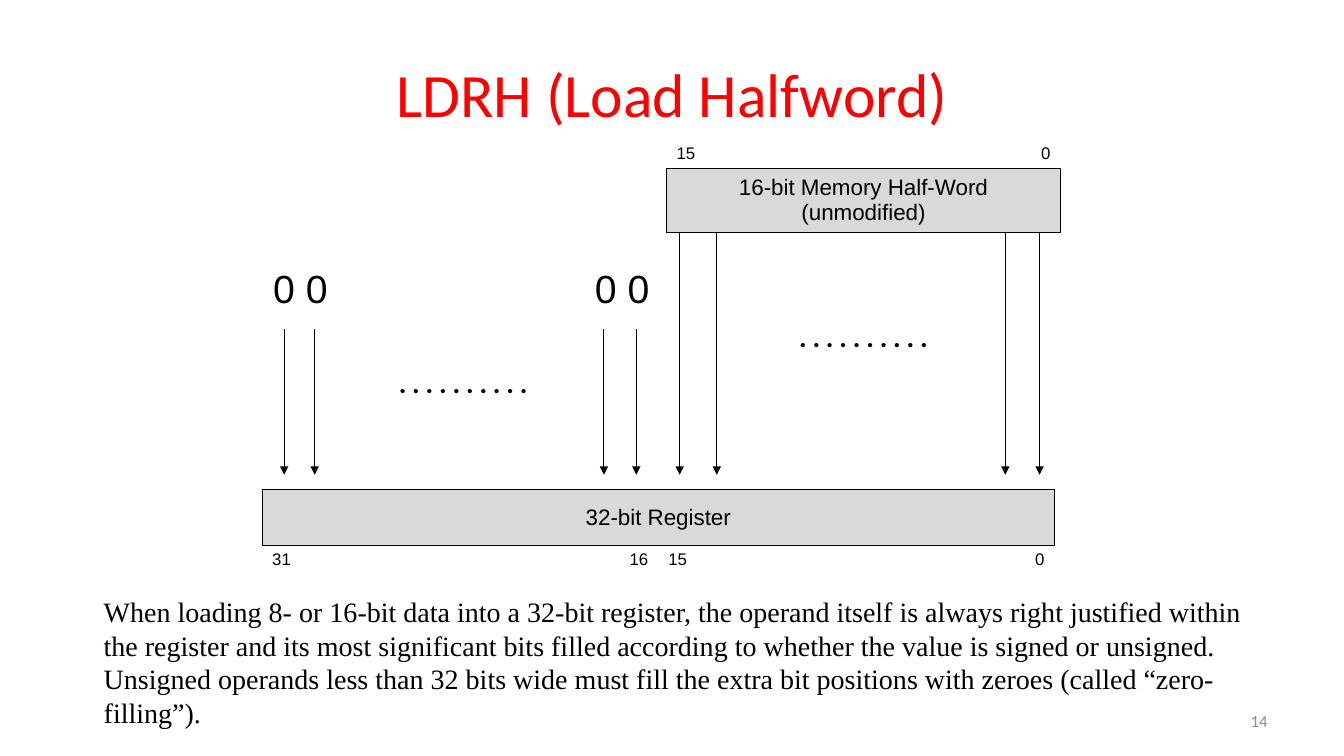
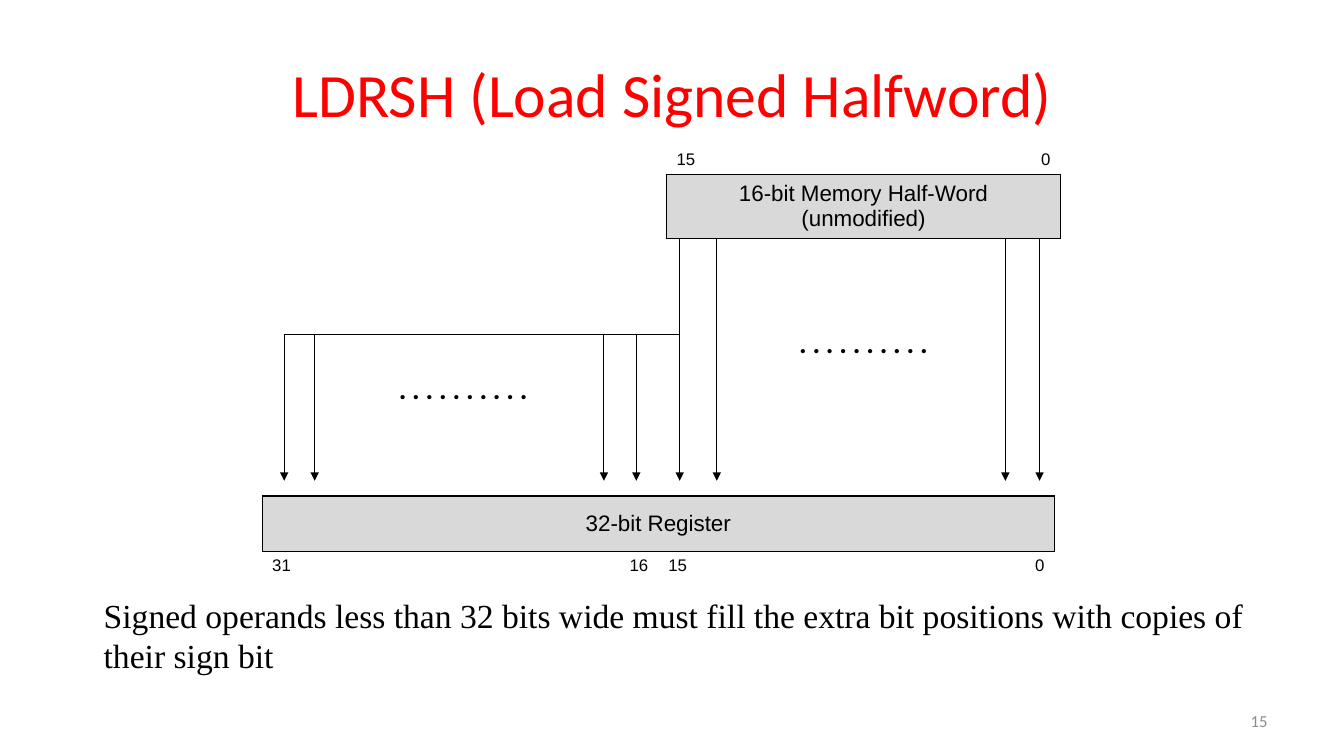
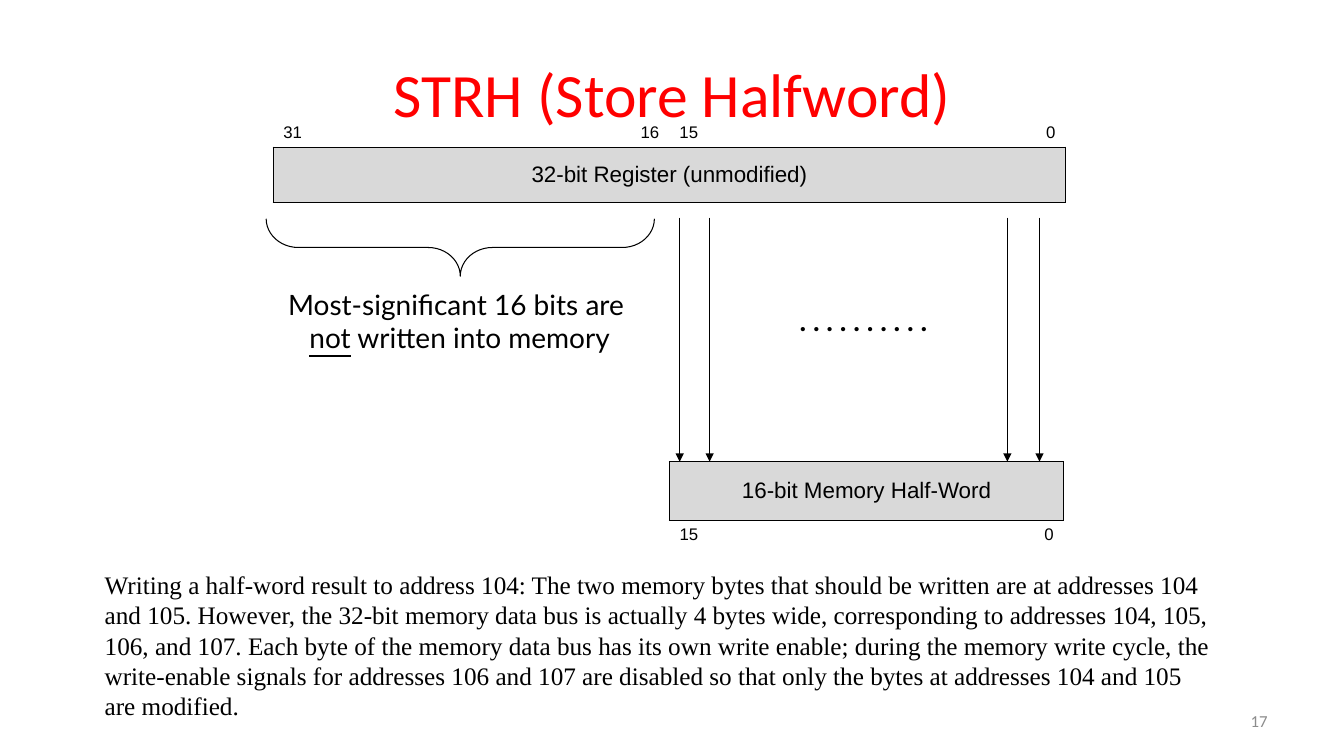
from pptx import Presentation
from pptx import util as u
from pptx.dml import color
from pptx.enum import shapes, text
from pptx.oxml import parse_xml
from pptx.oxml import ns

WIDE, HIGH = 13.33, 7.5
BLACK, RED, GREY, PALE = "000000", "FF0000", "8C8C8C", "D9D9D9"
LEFT, BIT = 2.61, 7.86 / 32  # left edge of the diagrams, width of one bit
HALF = 16 * BIT
FILL = (0.85, 2.08, 13.76, 15.07)  # arrows into the upper half, in bits
DATA = (16.82, 18.32, 29.97, 31.35)  # arrows into the lower half, in bits
WORD = ("31", "", "", "16", "15", "", "", "0")
SHORT = ("15", "0")
DOTS = ". . . . . . . . . ."
PLAIN = "{2D5ABB26-0587-4C30-8999-92F81FD0307C}"  # table style without grid
ALIGN, ANCHOR = text.PP_ALIGN, text.MSO_ANCHOR

LABEL = {"name": "Arial", "size": 12, "color": BLACK}
BAND = LABEL | {"size": 16}
ZERO = LABEL | {"size": 28}
NOTE = {"name": "Lato", "size": 20, "color": BLACK}
BODY = {"name": "Times New Roman", "color": BLACK}
TITLE = {"name": "Calibri", "size": 44, "color": RED}
FOOT = {"name": "Calibri", "size": 12, "color": GREY}


def rgb(code):
    return color.RGBColor.from_string(code)


def inches(*nums):
    return [u.Inches(n) for n in nums]


def style(font, look):
    for key, val in look.items():
        if key == "color":
            font.color.rgb = rgb(val)
        else:
            setattr(font, key, u.Pt(val) if key == "size" else val)


def write(frame, words, look, align=ALIGN.LEFT):
    para = frame.paragraphs[0]
    para.alignment = align
    run = para.add_run()
    run.text = words
    style(run.font, look)
    return para


def label(slide, box, words, look, align=ALIGN.LEFT, anchor=ANCHOR.TOP):
    frame = slide.shapes.add_textbox(*inches(*box)).text_frame
    frame.word_wrap = True
    frame.vertical_anchor = anchor
    return write(frame, words, look, align)


def line(slide, x1, y1, x2, y2, head=True):
    link = slide.shapes.add_connector(
        shapes.MSO_CONNECTOR.STRAIGHT, *inches(x1, y1, x2, y2))
    link.line.color.rgb = rgb(BLACK)
    link.line.width = u.Pt(0.75)
    if head:
        link.line._get_or_add_ln().append(parse_xml(
            f'<a:tailEnd {ns.nsdecls("a")} type="triangle"/>'))
    link._element.spPr.append(parse_xml(f'<a:effectLst {ns.nsdecls("a")}/>'))


def arrows(slide, bits, top, end):
    for bit in bits:
        line(slide, LEFT + bit * BIT, top, LEFT + bit * BIT, end)


def border(cell):
    for side in "LRTB":
        cell._tc.get_or_add_tcPr().append(parse_xml(
            f'<a:ln{side} {ns.nsdecls("a")} w="12700"><a:solidFill>'
            f'<a:srgbClr val="{BLACK}"/></a:solidFill></a:ln{side}>'))


def grid(slide, box, cols, rows):
    """Unstyled table; rows lists the row heights."""
    table = slide.shapes.add_table(
        len(rows), cols, *inches(*box, sum(rows))).table
    table._tbl.tblPr.find(ns.qn("a:tableStyleId")).text = PLAIN
    table.first_row = table.horz_banding = False
    for row, high in zip(table.rows, rows):
        row.height = u.Inches(high)
    return table


def ends(table, row, marks, look, anchor):
    """Fill a row: even cells read from the left, odd ones from the right."""
    for i, mark in enumerate(marks):
        if mark:
            cell = table.cell(row, i)
            cell.vertical_anchor = anchor
            write(cell.text_frame, mark, look,
                  ALIGN.RIGHT if i % 2 else ALIGN.LEFT)


def strip(slide, box, name, marks, rows, above):
    """Grey band with its bit numbers above or below."""
    table = grid(slide, box, len(marks), rows)
    band, nums = (1, 0) if above else (0, 1)
    for i in range(len(marks)):
        border(table.cell(band, i))
    cell = table.cell(band, 0)
    cell.merge(table.cell(band, len(marks) - 1))
    cell.fill.solid()
    cell.fill.fore_color.rgb = rgb(PALE)
    cell.vertical_anchor = ANCHOR.MIDDLE
    write(cell.text_frame, name, BAND, ALIGN.CENTER)
    ends(table, nums, marks, LABEL, ANCHOR.BOTTOM if above else ANCHOR.TOP)


def dots(slide, x, y):
    label(slide, (x, y, 2.35, 0.43), DOTS, NOTE | {"bold": True}, ALIGN.CENTER)


def load(slide, top, signed):
    """Half-word above, register below, joined by arrows."""
    strip(slide, (LEFT + 4, top, HALF - 0.02), "16-bit Memory Half-Word (unmodified)",
          SHORT, (0.58, 0.63), True)
    strip(slide, (LEFT - 0.01, top + 3.77, 2 * HALF), "32-bit Register",
          WORD, (0.55, 0.55), False)
    arrows(slide, DATA, top + 1.22, top + 3.62)
    arrows(slide, FILL, top + 2.17, top + 3.62)
    dots(slide, 7.39, top + 2.03)
    dots(slide, 3.42, top + 2.49)
    if signed:
        line(slide, LEFT + FILL[0] * BIT, top + 2.17,
             LEFT + DATA[0] * BIT, top + 2.17, False)
    else:
        zeros = grid(slide, (LEFT, top + 1.52, HALF), 2, (0.57,))
        ends(zeros, 0, ("0 0", "0 0"), ZERO, ANCHOR.TOP)


def brace(slide, x, y, w, h):
    mark = slide.shapes.add_shape(
        shapes.MSO_SHAPE.LEFT_BRACE,
        *inches(x + (w - h) / 2, y + (h - w) / 2, h, w))
    mark.rotation = 270
    mark.shadow.inherit = False
    mark.fill.background()
    mark.line.color.rgb = rgb(BLACK)
    mark.line.width = u.Pt(0.75)
    mark.adjustments[0] = 0.56


def store(slide, top):
    """Register above, half-word below, upper half left out."""
    strip(slide, (LEFT + 0.1, top, 2 * HALF), "32-bit Register (unmodified)",
          WORD, (0.55, 0.55), True)
    strip(slide, (LEFT + 4.03, top + 3.67, HALF - 0.02), "16-bit Memory Half-Word",
          SHORT, (0.58, 0.58), False)
    arrows(slide, (DATA[0], 18.03, 30.05, DATA[3]), top + 1.25, top + 3.67)
    dots(slide, 7.39, top + 2.05)
    brace(slide, LEFT + 0.03, top + 1.26, 3.85, 0.57)
    para = label(slide, (2.48, top + 1.89, 4.16, 0.77),
                 "Most-significant 16 bits are ", NOTE, ALIGN.CENTER)
    para.add_line_break()
    for words, under in (("not", True), (" written into memory", False)):
        run = para.add_run()
        run.text = words
        style(run.font, NOTE | {"underline": under})


def page(deck, title, number, body, box, size):
    slide = deck.slides.add_slide(deck.slide_layouts[5])
    head = slide.shapes.title
    head.left, head.top, head.width, head.height = inches(0.67, 0.3, 12, 1.25)
    frame = head.text_frame
    frame.auto_size = text.MSO_AUTO_SIZE.NONE
    frame.vertical_anchor = ANCHOR.MIDDLE
    write(frame, title, TITLE, ALIGN.CENTER)
    label(slide, box, body, BODY | {"size": size})
    label(slide, (9.56, 6.95, 3.11, 0.4), number, FOOT,
          ALIGN.RIGHT, ANCHOR.MIDDLE)
    return slide


def main():
    deck = Presentation()
    deck.slide_width, deck.slide_height = inches(WIDE, HIGH)
    load(page(
        deck, "LDRH (Load Halfword)", "14",
        "When loading 8- or 16-bit data into a 32-bit register, the operand "
        "itself is always right justified within the register and its most "
        "significant bits filled according to whether the value is signed or "
        "unsigned. Unsigned operands less than 32 bits wide must fill the "
        "extra bit positions with zeroes (called “zero-filling”).",
        (0.93, 5.85, 11.78, 1.45), 20), 1.09, False)
    load(page(
        deck, "LDRSH (Load Signed Halfword)", "15",
        "Signed operands less than 32 bits wide must fill the extra bit "
        "positions with copies of their sign bit",
        (0.93, 5.85, 11.78, 0.91), 24), 1.15, True)
    store(page(
        deck, "STRH (Store Halfword)", "17",
        "Writing a half-word result to address 104: The two memory bytes that "
        "should be written are at addresses 104 and 105. However, the 32-bit "
        "memory data bus is actually 4 bytes wide, corresponding to addresses "
        "104, 105, 106, and 107. Each byte of the memory data bus has its own "
        "write enable; during the memory write cycle, the write-enable signals "
        "for addresses 106 and 107 are disabled so that only the bytes at "
        "addresses 104 and 105 are modified.",
        (0.94, 5.6, 11.17, 1.62), 18), 0.91)
    deck.save("out.pptx")


if __name__ == "__main__":
    main()
